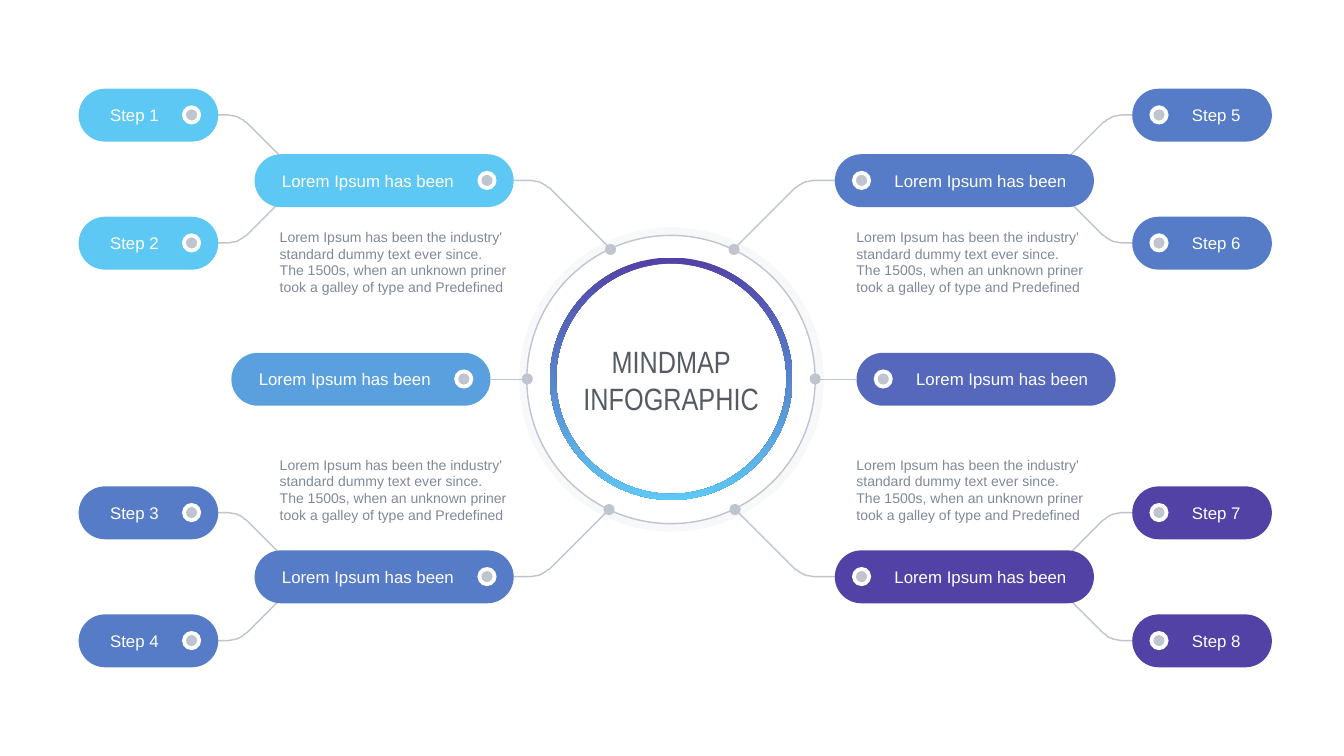
from pptx import Presentation
from pptx.dml.color import RGBColor
from pptx.enum.shapes import MSO_CONNECTOR, MSO_SHAPE
from pptx.enum.text import MSO_ANCHOR, MSO_AUTO_SIZE, PP_ALIGN
from pptx.oxml.ns import qn
from pptx.util import Pt
from lxml import etree

ROUND_RECT, ELLIPSE, DONUT = (
    MSO_SHAPE.ROUNDED_RECTANGLE, MSO_SHAPE.OVAL, MSO_SHAPE.DONUT)
PX = 9144  # 100 px to the inch

WHITE, GREY, HALO = "FFFFFF", "BFC5CE", "EFF0F4"
TITLE_COLOR, BODY_COLOR = "555B64", "7F8998"
SKY, AZURE, BLUE, INDIGO, PURPLE = (
    "5EC8F5", "5AA0DF", "567BC7", "5568BC", "5242A5")

TITLE = "MINDMAP\nINFOGRAPHIC"
TOPIC = "Lorem Ipsum has been"
BODY = ("Lorem Ipsum has been the industry' standard dummy text ever since. "
        "The 1500s, when an unknown priner took a galley of type and Predefined")

# Side is -1 left of the hub and 1 right of it; turn is the branch's way up or down.
STEPS = [  # label, side, top, turn, colour
    ("Step 1", -1, 176, -1, SKY), ("Step 2", -1, 430, 1, SKY),
    ("Step 3", -1, 965, -1, BLUE), ("Step 4", -1, 1219, 1, BLUE),
    ("Step 5", 1, 176, -1, BLUE), ("Step 6", 1, 430, 1, BLUE),
    ("Step 7", 1, 965, -1, PURPLE), ("Step 8", 1, 1219, 1, PURPLE),
]
TOPICS = [  # side, left, top, turn, colour
    (-1, 505, 306, -1, SKY), (-1, 459, 700, 0, AZURE), (-1, 505, 1092, 1, BLUE),
    (1, 1656, 306, -1, BLUE), (1, 1699, 700, 0, INDIGO), (1, 1656, 1092, 1, PURPLE),
]
BODY_LEFTS, BODY_TOPS = (545, 1689), (448, 900)

STEP_LEFT, STEP_W, TOPIC_W, PILL_H = {-1: 156, 1: 2246}, 277, 514, 105
STEP_INDENT, TOPIC_INDENT, RIGHT_INDENT = 47, 39, 103
STEP_TIP, TOPIC_TIP = {-1: 603, 1: 2074}, {-1: 1204, 1: 1463}
KNOB, DOT, KNOB_GAP = 38, 22, 34

HUB_X, HUB_Y = 1331, 752
HUB_DOTS = [(1211, 495), (1456, 495), (1046, 762), (1617, 762), (1208, 1011), (1458, 1011)]

BRANCH_W, BRANCH_H = 232, 129
BEND = [(108, 108), (118, 117), (130, 128), (151, BRANCH_H)]
BEND_PARTS = 10


def rgb(hex_color):
    return RGBColor.from_string(hex_color)


def add_shape(kind, x, y, w, h, fill=None):
    sp = slide.shapes.add_shape(kind, x * PX, y * PX, w * PX, h * PX)
    sp.shadow.inherit = False
    sp.line.fill.background()
    if fill:
        sp.fill.solid()
        sp.fill.fore_color.rgb = rgb(fill)
    else:
        sp.fill.background()
    return sp


def add_round(kind, cx, cy, size, fill=None):
    """Add a circular shape by its centre."""
    return add_shape(kind, cx - size // 2, cy - size // 2, size, size, fill)


def style_line(sp):
    sp.line.color.rgb = rgb(GREY)
    sp.line.width = Pt(2)


def format_text(tf, size, color, font="Arial", align=PP_ALIGN.LEFT):
    tf.word_wrap = True
    for p in tf.paragraphs:
        p.alignment = align
        p.font.size, p.font.name = Pt(size), font
        p.font.color.rgb = rgb(color)


def set_insets(tf, left, top, right, bottom):
    tf.margin_left, tf.margin_top = left * PX, top * PX
    tf.margin_right, tf.margin_bottom = right * PX, bottom * PX


def bend_point(t):
    """Point at t on the cubic curve that rounds a branch's corner."""
    weights = [(1 - t) ** 3, 3 * t * (1 - t) ** 2, 3 * t * t * (1 - t), t ** 3]
    return tuple(sum(k * pt[i] for k, pt in zip(weights, BEND)) for i in (0, 1))


def add_branch(tip_x, end_y, dx, dy):
    """Draw from a diagonal tip round a bend to a level end at end_y."""
    tip_y = end_y - dy * BRANCH_H
    curve = [bend_point(i / BEND_PARTS) for i in range(BEND_PARTS + 1)]
    points = [(tip_x + dx * x, tip_y + dy * y)
              for x, y in curve + [(BRANCH_W, BRANCH_H)]]
    builder = slide.shapes.build_freeform(tip_x, tip_y, scale=PX)
    builder.add_line_segments(points, close=False)
    sp = builder.convert_to_shape()
    sp.shadow.inherit = False
    sp.fill.background()
    style_line(sp)


def add_pill(label, side, x, y, w, color, left_indent):
    sp = add_shape(ROUND_RECT, x, y, w, PILL_H, color)
    sp.adjustments[0] = 0.5
    tf = sp.text_frame
    tf.text = label
    tf.vertical_anchor = MSO_ANCHOR.MIDDLE
    set_insets(tf, RIGHT_INDENT if side > 0 else left_indent, 0, 0, 0)
    format_text(tf, 24, WHITE)
    offset = KNOB_GAP + KNOB // 2
    knob_x = x + offset if side > 0 else x + w - offset
    add_round(ELLIPSE, knob_x, y + PILL_H // 2, KNOB, WHITE)
    add_round(ELLIPSE, knob_x, y + PILL_H // 2, DOT, GREY)
    return sp


def add_hub_link(pill, side, dot):
    """Join a hub dot to the near side of a pill."""
    line = slide.shapes.add_connector(
        MSO_CONNECTOR.STRAIGHT, dot[0] * PX, pill.top + pill.height // 2, 0, 0)
    line.end_connect(pill, 1 if side > 0 else 3)
    line.begin_x, line.begin_y = dot[0] * PX, line.end_y
    style_line(line)
    etree.SubElement(line._element.spPr, qn("a:effectLst"))


prs = Presentation()
prs.slide_width, prs.slide_height = 2666 * PX, 1500 * PX
slide = prs.slides.add_slide(prs.slide_layouts[5])

title = slide.shapes.title
title.left, title.top, title.width, title.height = (v * PX for v in (1110, 674, 443, 158))
tf = title.text_frame
tf.text = TITLE
tf.auto_size = MSO_AUTO_SIZE.NONE
tf.vertical_anchor = MSO_ANCHOR.MIDDLE
set_insets(tf, 6, 6, 6, 6)
format_text(tf, 44, TITLE_COLOR, "Arial Narrow", PP_ALIGN.CENTER)

halo = add_round(DONUT, HUB_X + 1, HUB_Y + 1, 604, HALO)
halo.adjustments[0] = 0.025
halo_color = halo._element.spPr.find(qn("a:solidFill"))[0]
etree.SubElement(halo_color, qn("a:alpha"), val="45000")

ring = add_round(DONUT, HUB_X, HUB_Y - 1, 481)
ring.adjustments[0] = 0.025
ring.fill.gradient()
ring.fill.gradient_angle = 270
for stop, color, position in zip(ring.fill.gradient_stops, (PURPLE, SKY), (0, 1)):
    stop.color.rgb = rgb(color)
    stop.position = position

style_line(add_round(ELLIPSE, HUB_X, HUB_Y + 1, 572))

for _, side, y, turn, _ in STEPS:
    add_branch(STEP_TIP[side], y + PILL_H // 2, side, turn)
for side, _, y, turn, _ in TOPICS:
    if turn:
        add_branch(TOPIC_TIP[side], y + PILL_H // 2, side, turn)

for label, side, y, _, color in STEPS:
    add_pill(label, side, STEP_LEFT[side], y, STEP_W, color, STEP_INDENT)
for side, x, y, turn, color in TOPICS:
    pill = add_pill(TOPIC, side, x, y, TOPIC_W, color, TOPIC_INDENT)
    if not turn:
        add_hub_link(pill, side, HUB_DOTS[2 if side < 0 else 3])

for x, y in HUB_DOTS:
    add_round(ELLIPSE, x, y if y != 762 else HUB_Y, DOT, GREY)

for x in BODY_LEFTS:
    for y in BODY_TOPS:
        box = slide.shapes.add_textbox(x * PX, y * PX, 472 * PX, 144 * PX)
        box.text_frame.text = BODY
        set_insets(box.text_frame, 10, 5, 10, 5)
        format_text(box.text_frame, 20, BODY_COLOR)

prs.save("out.pptx")
